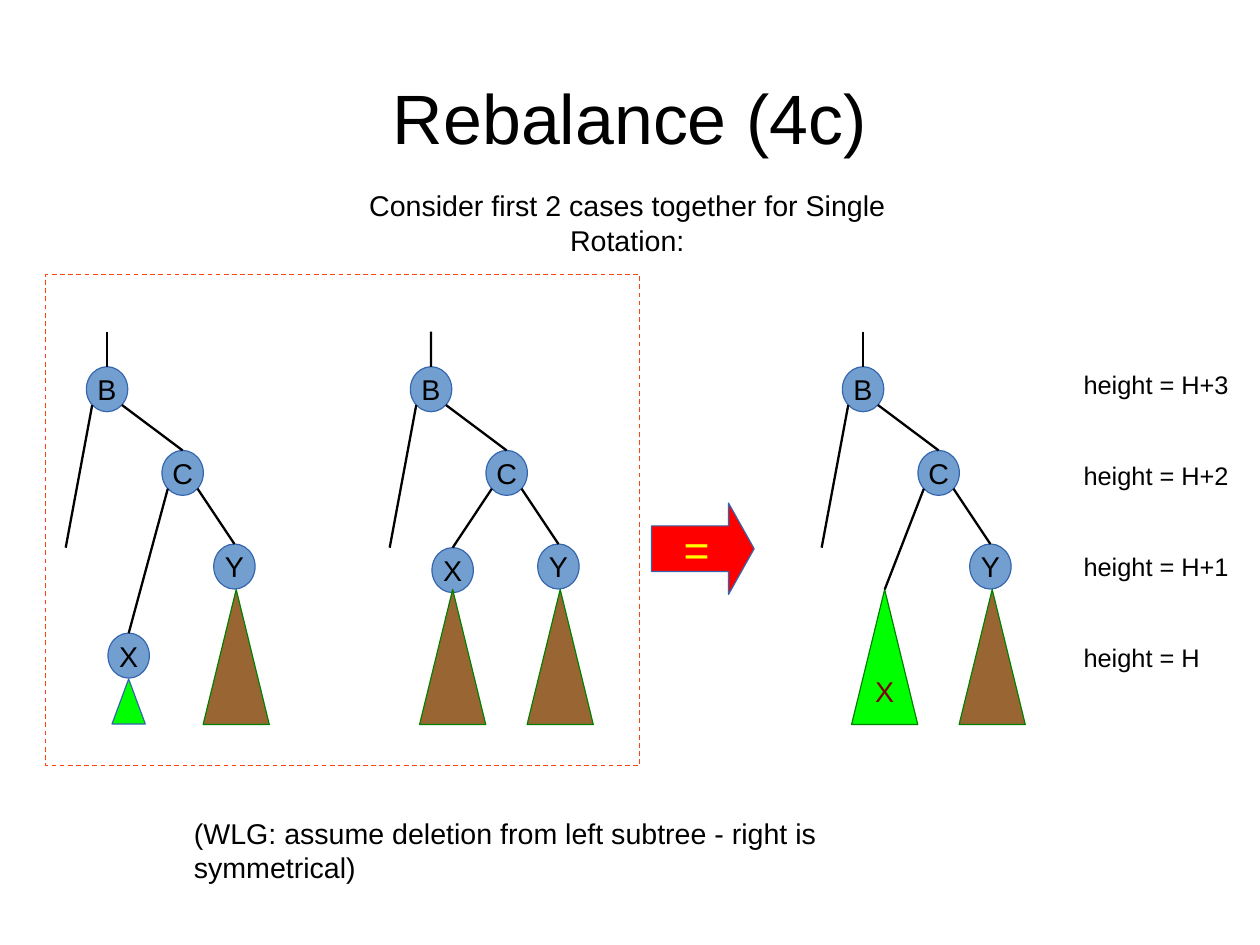
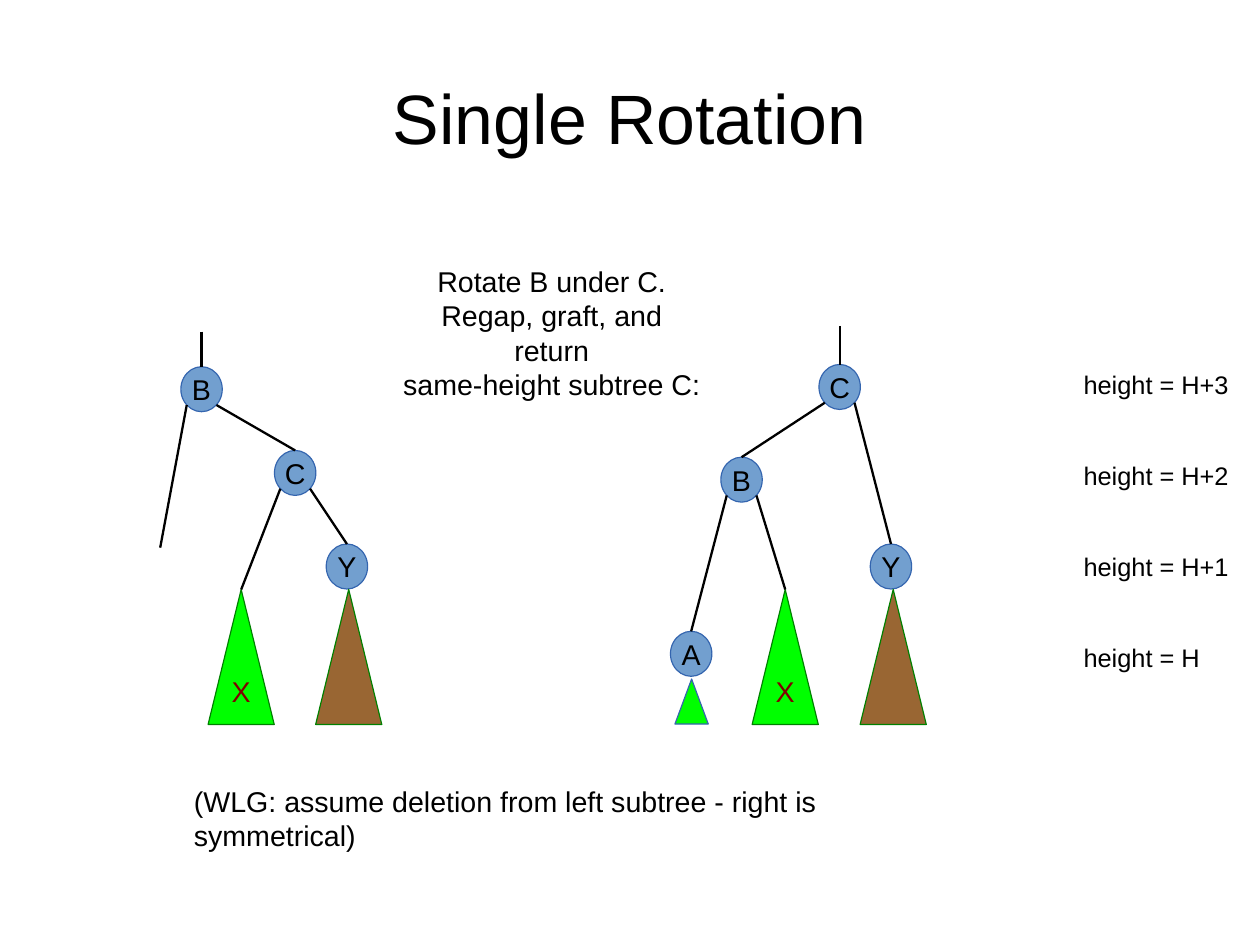
from lxml import etree
from pptx import Presentation
from pptx.dml.color import RGBColor
from pptx.enum import dml, shapes, text
from pptx.oxml import ns
from pptx.util import Cm, Pt

INK = {
    "black": "000000", "node": "729FCF", "rim": "3465AF", "brown": "996633",
    "green": "00FF00", "edge": "008000", "maroon": "800000",
    "frame": "FF420E", "red": "FF0000", "yellow": "FFFF00",
}
FONT = "Arial"
KIND = shapes.MSO_SHAPE
LEFT, MID = text.PP_ALIGN.LEFT, text.PP_ALIGN.CENTER

# Look of each tree part: shape, width, height, fill, rim, text colour
LOOKS = {
    "node": (KIND.OVAL, 0.92, 1, "node", "rim", "black"),
    "tall": (KIND.ISOSCELES_TRIANGLE, 1.47, 3, "brown", "edge", "maroon"),
    "lime": (KIND.ISOSCELES_TRIANGLE, 1.47, 3, "green", "edge", "maroon"),
    "small": (KIND.ISOSCELES_TRIANGLE, 0.74, 1, "green", "rim", "maroon"),
}


def rgb(name):
    return RGBColor.from_string(INK[name])


def put(shape, words, size, ink="black", align=MID):
    frame = shape.text_frame
    frame.text = words
    frame.word_wrap = False
    for para in frame.paragraphs:
        para.alignment = align
        para.font.name, para.font.size = FONT, Pt(size)
        para.font.color.rgb = rgb(ink)
    return frame


def label(slide, words, left, top, width, height, size=18, align=MID):
    box = slide.shapes.add_textbox(Cm(left), Cm(top), Cm(width), Cm(height))
    put(box, words, size, align=align)


def form(slide, kind, left, top, width, height, fill, rim):
    shape = slide.shapes.add_shape(
        kind, Cm(left), Cm(top), Cm(width), Cm(height))
    shape.shadow.inherit = False
    if fill:
        shape.fill.solid()
        shape.fill.fore_color.rgb = rgb(fill)
    else:
        shape.fill.background()
    shape.line.color.rgb = rgb(rim)
    shape.line.width = 0
    return shape


def branch(slide, x1, y1, x2, y2, child=None):
    line = slide.shapes.add_connector(
        shapes.MSO_CONNECTOR.STRAIGHT, Cm(x1), Cm(y1), Cm(x2), Cm(y2))
    line.line.color.rgb = rgb("black")
    line.line.width = Pt(1.45)
    etree.SubElement(line._element.spPr, ns.qn("a:effectLst"))
    if child is not None:
        line.end_connect(child, 0)


def tree(slide, x, y, parts, leg=None):
    """Draw a tree below the stem top (x, y); the first part is the root.

    Each part: look, letter, offset across, offset down, parent index.
    """
    def foot(home, side):
        across, down = parts[home][2:4]
        return x + across + side * 0.33, y + down + 0.85

    for i, (look, letter, across, down, home) in enumerate(parts):
        kind, width, height, fill, rim, ink = LOOKS[look]
        px, py = x + across, y + down
        shape = form(slide, kind, px - width / 2, py, width, height, fill, rim)
        if letter:
            frame = put(shape, letter, 18, ink)
            frame.vertical_anchor = text.MSO_ANCHOR.MIDDLE
        if i == 0:
            branch(slide, x, y, px, py, shape)
        elif home is not None:
            side = -1 if across < parts[home][2] else 1
            branch(slide, *foot(home, side), px, py, shape)
    if leg:
        branch(slide, *foot(0, -1), x + leg[0], y + leg[1])


def lean(slide, x, y, left, shift=0):
    """Draw the unbalanced tree: B over C over Y, with parts left of C."""
    right = [
        ("node", "B", 0, 0.78, None),
        ("node", "C", 1.68 + shift, 2.64, 0),
        ("node", "Y", 2.83 + shift, 4.72, 1),
        ("tall", "", 2.87 + shift, 5.73, None),
    ]
    side = [(look, letter, 0.48 + shift, down, home)
            for look, letter, down, home in left]
    tree(slide, x, y, right + side, leg=(-0.92, 4.8))


def arrow(slide, left, top, width, height):
    shape = form(slide, KIND.RIGHT_ARROW, left, top, width, height,
                 "red", "rim")
    shape.adjustments[1] = 0.28
    frame = put(shape, "=", 28, "yellow")
    frame.vertical_anchor = text.MSO_ANCHOR.MIDDLE


def base(deck, title, foot):
    """Add a slide with its title, height scale and closing remark."""
    slide = deck.slides.add_slide(deck.slide_layouts[5])
    head = slide.shapes.title
    head.left, head.top, head.width, head.height = map(
        Cm, (1.4, 0.84, 25.2, 3.5))
    frame = put(head, title, 44)
    frame.word_wrap = True
    frame.auto_size = text.MSO_AUTO_SIZE.NONE
    frame.vertical_anchor = text.MSO_ANCHOR.MIDDLE
    frame.margin_left = frame.margin_right = 0
    frame.margin_top = frame.margin_bottom = 0
    for i, rise in enumerate(("+3", "+2", "+1", "")):
        width = 3.86 if rise else 3.2
        label(slide, f"height = H{rise}", 23.83, 8.08 + i * 2.02,
              width, 1.4, 16, LEFT)
    label(slide,
          "(WLG: assume deletion from left subtree - right is symmetrical)",
          4.06, foot, 18.1, 0.97, align=LEFT)
    return slide


def cases(deck):
    slide = base(deck, "Rebalance (4c)", 18.01)
    label(slide, "Consider first 2 cases together for Single Rotation:",
          6.6, 4.06, 14.68, 0.97)
    # Two cases, then their common form
    lean(slide, 2.38, 7.37,
         [("node", "X", 6.7, 1), ("small", "", 7.72, None)])
    lean(slide, 9.58, 7.37,
         [("node", "X", 4.8, 1), ("tall", "", 5.73, None)])
    lean(slide, 19.18, 7.37, [("lime", "X", 5.73, 1)])
    # Frame around the cases
    frame = form(slide, KIND.RECTANGLE, 1.02, 6.1, 13.2, 10.92, None, "frame")
    frame.line.dash_style = dml.MSO_LINE.DASH
    arrow(slide, 14.48, 11.18, 2.28, 2.03)


def rotate(deck):
    slide = base(deck, "Single Rotation", 17.3)
    # Before
    lean(slide, 4.48, 7.37, [("lime", "X", 5.73, 1)], shift=0.4)
    # After
    tree(slide, 18.66, 7.24, [
        ("node", "C", 0, 0.86, None),
        ("node", "B", -2.18, 2.92, 0),
        ("node", "Y", 1.14, 4.85, 0),
        ("tall", "", 1.19, 5.86, None),
        ("lime", "X", -1.21, 5.86, 1),
        ("node", "A", -3.3, 6.79, 1),
        ("small", "", -3.29, 7.85, None),
    ])
    label(slide, "Rotate B under C.\nRegap, graft, and return\n"
          "same-height subtree C:", 8.64, 5.74, 7.24, 2.39)


def main():
    deck = Presentation()
    deck.slide_width, deck.slide_height = Cm(28), Cm(21)
    cases(deck)
    rotate(deck)
    deck.save("out.pptx")


if __name__ == "__main__":
    main()
